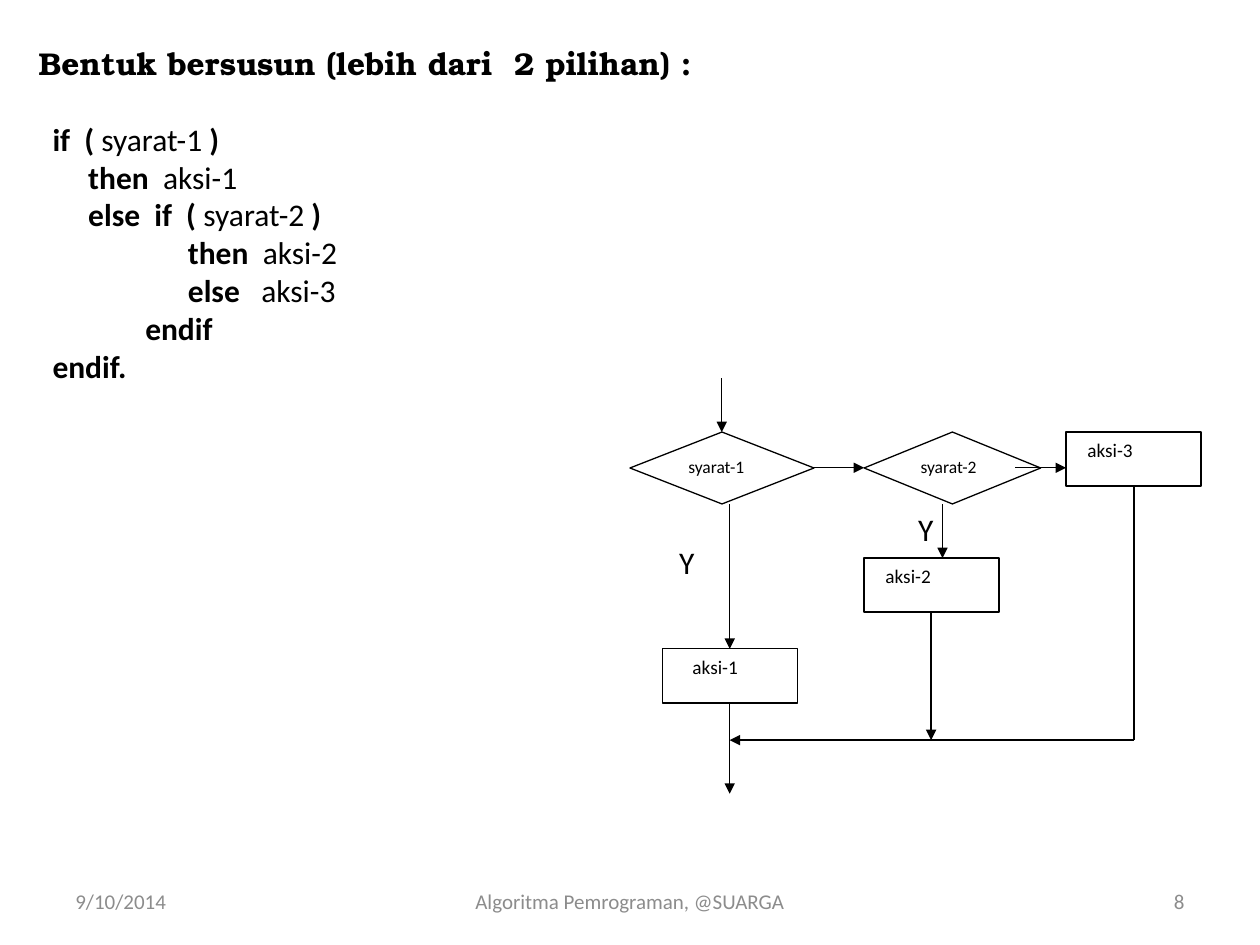
"""Build a slide that explains the nested if statement with code and a flowchart."""
from dataclasses import dataclass

from lxml import etree
from pptx import Presentation
from pptx.dml.color import RGBColor
from pptx.enum.shapes import MSO_CONNECTOR, MSO_SHAPE
from pptx.enum.text import MSO_ANCHOR, PP_ALIGN
from pptx.oxml.ns import qn
from pptx.util import Cm, Pt

DECISION = MSO_SHAPE.FLOWCHART_DECISION
PROCESS = MSO_SHAPE.FLOWCHART_PROCESS
STRAIGHT = MSO_CONNECTOR.STRAIGHT
TOP, MIDDLE = MSO_ANCHOR.TOP, MSO_ANCHOR.MIDDLE
LEFT, CENTER, RIGHT = PP_ALIGN.LEFT, PP_ALIGN.CENTER, PP_ALIGN.RIGHT


@dataclass(frozen=True)
class Theme:
    """Colours, fonts and type sizes of the slide."""
    ink: RGBColor = RGBColor(0, 0, 0)
    paper: RGBColor = RGBColor(255, 255, 255)
    muted: RGBColor = RGBColor(0x8C, 0x8C, 0x8C)
    heading_font: str = "TeX Gyre Bonum"
    body_font: str = "Calibri"
    body_size: int = 18
    footer_size: int = 12
    action_size: int = 11
    condition_size: int = 10
    line_width: float = 0.75


def write_paragraph(paragraph, *parts, size, color, font, align=LEFT, indent=0):
    """Write (text, bold) parts into a paragraph with the given format."""
    paragraph.alignment = align
    if indent:
        paragraph._p.get_or_add_pPr().set("marL", str(Cm(indent)))
    for words, bold in parts:
        run = paragraph.add_run()
        run.text = words
        run.font.name = font
        run.font.size = Pt(size)
        run.font.bold = bold
        run.font.color.rgb = color


class SlideBuilder:
    """Draws each kind of element on the current slide in one style."""

    def __init__(self, slide, theme):
        self.slide = slide
        self.theme = theme

    def text(self, box, lines, anchor=TOP, **style):
        """Add a text box of (indent, parts) lines."""
        style = {"size": self.theme.body_size, "color": self.theme.ink,
                 "font": self.theme.body_font, **style}
        frame = self.slide.shapes.add_textbox(*map(Cm, box)).text_frame
        frame.word_wrap = True
        frame.vertical_anchor = anchor
        for number, (indent, parts) in enumerate(lines):
            paragraph = frame.add_paragraph() if number else frame.paragraphs[0]
            write_paragraph(paragraph, *parts, indent=indent, **style)

    def node(self, kind, box, label, size, indent=0):
        """Add a labelled flowchart node."""
        theme = self.theme
        node = self.slide.shapes.add_shape(kind, *map(Cm, box))
        node.shadow.inherit = False
        node.fill.solid()
        node.fill.fore_color.rgb = theme.paper
        node.line.color.rgb = theme.ink
        node.line.width = Pt(theme.line_width)
        node.text_frame.vertical_anchor = TOP
        write_paragraph(node.text_frame.paragraphs[0], (label, False), size=size,
                        color=theme.ink, font=theme.body_font, indent=indent)

    def condition(self, left, top, width, height, label):
        """Add a decision diamond."""
        self.node(DECISION, (left, top, width, height), label, self.theme.condition_size)

    def action(self, left, top, label, indent):
        """Add an action box of the common size."""
        self.node(PROCESS, (left, top, 2.72, 1.09), label, self.theme.action_size, indent)

    def flow(self, start, end, arrow=True):
        """Add a flow line from start to end."""
        line = self.slide.shapes.add_connector(STRAIGHT, *map(Cm, (*start, *end)))
        line.line.color.rgb = self.theme.ink
        line.line.width = Pt(self.theme.line_width)
        properties = line._element.spPr
        if arrow:
            etree.SubElement(properties.find(qn("a:ln")), qn("a:tailEnd"), type="triangle")
        etree.SubElement(properties, qn("a:effectLst"))


def draw_code(builder):
    """Write the heading and the pseudocode."""
    builder.text((0.53, 0.76, 14.02, 1.02),
                 [(0, [("Bentuk bersusun (lebih dari  2 pilihan) :", True)])],
                 anchor=MIDDLE, font=builder.theme.heading_font)
    outer, closing, inner = 0.72, 1.87, 2.73
    builder.text((0.81, 2.29, 11.76, 6.4), [
        (0, [("if  ( ", True), ("syarat-1 ", False), (")", True)]),
        (outer, [("then  ", True), ("aksi-1", False)]),
        (outer, [("else  if  (", True), (" syarat-2 ", False), (")", True)]),
        (inner, [("then  ", True), ("aksi-2", False)]),
        (inner, [("else   ", True), ("aksi-3", False)]),
        (closing, [("endif", True)]),
        (0, [("endif.", True)]),
    ])


def draw_flowchart(builder):
    """Draw the flowchart with its two conditions and three actions."""
    top, test_y, test_bottom, merge_y = 8.71, 9.43, 10.16, 14.92
    second_left, third_left = 17.42, 21.49
    first_x, second_x, third_x = 14.71, 18.77, 22.86
    entry_x, yes_x = 14.55, 19
    builder.condition(12.7, top, 3.71, 1.45, "syarat-1")
    builder.condition(second_left, top, 3.56, 1.45, "syarat-2")
    builder.action(third_left, top, "aksi-3", 0.18)
    builder.action(second_left, 11.25, "aksi-2", 0.18)
    builder.action(13.36, 13.08, "aksi-1", 0.35)
    for start, end in [
        ((entry_x, 7.62), (entry_x, top)),
        ((first_x, test_bottom), (first_x, 13.08)),
        ((16.41, test_y), (second_left, test_y)),
        ((20.47, test_y), (third_left, test_y)),
        ((yes_x, test_bottom), (yes_x, 11.25)),
        ((first_x, 14.17), (first_x, 16)),
        ((second_x, merge_y), (first_x, merge_y)),
        ((second_x, 12.34), (second_x, merge_y)),
    ]:
        builder.flow(start, end)
    builder.flow((third_x, 9.8), (third_x, merge_y), arrow=False)
    builder.flow((third_x, merge_y), (second_x, merge_y), arrow=False)
    for left, label_top in ((13.44, 10.82), (18.26, 10.16)):
        builder.text((left, label_top, 0.82, 1.02), [(0, [("Y", False)])])


def draw_footer(builder):
    """Write the date, the course and the page number."""
    theme = builder.theme
    for left, width, words, align in (
        (1.27, 5.93, "9/10/2014", LEFT),
        (8.68, 8.04, "Algoritma Pemrograman, @SUARGA", CENTER),
        (18.2, 5.93, "8", RIGHT),
    ):
        builder.text((left, 17.66, width, 1.01), [(0, [(words, False)])], anchor=MIDDLE,
                     size=theme.footer_size, color=theme.muted, align=align)


def main():
    """Build and save the slide."""
    deck = Presentation()
    deck.slide_width, deck.slide_height = Cm(25.4), Cm(19.05)
    builder = SlideBuilder(deck.slides.add_slide(deck.slide_layouts[6]), Theme())
    draw_code(builder)
    draw_flowchart(builder)
    draw_footer(builder)
    deck.save("out.pptx")


if __name__ == "__main__":
    main()
